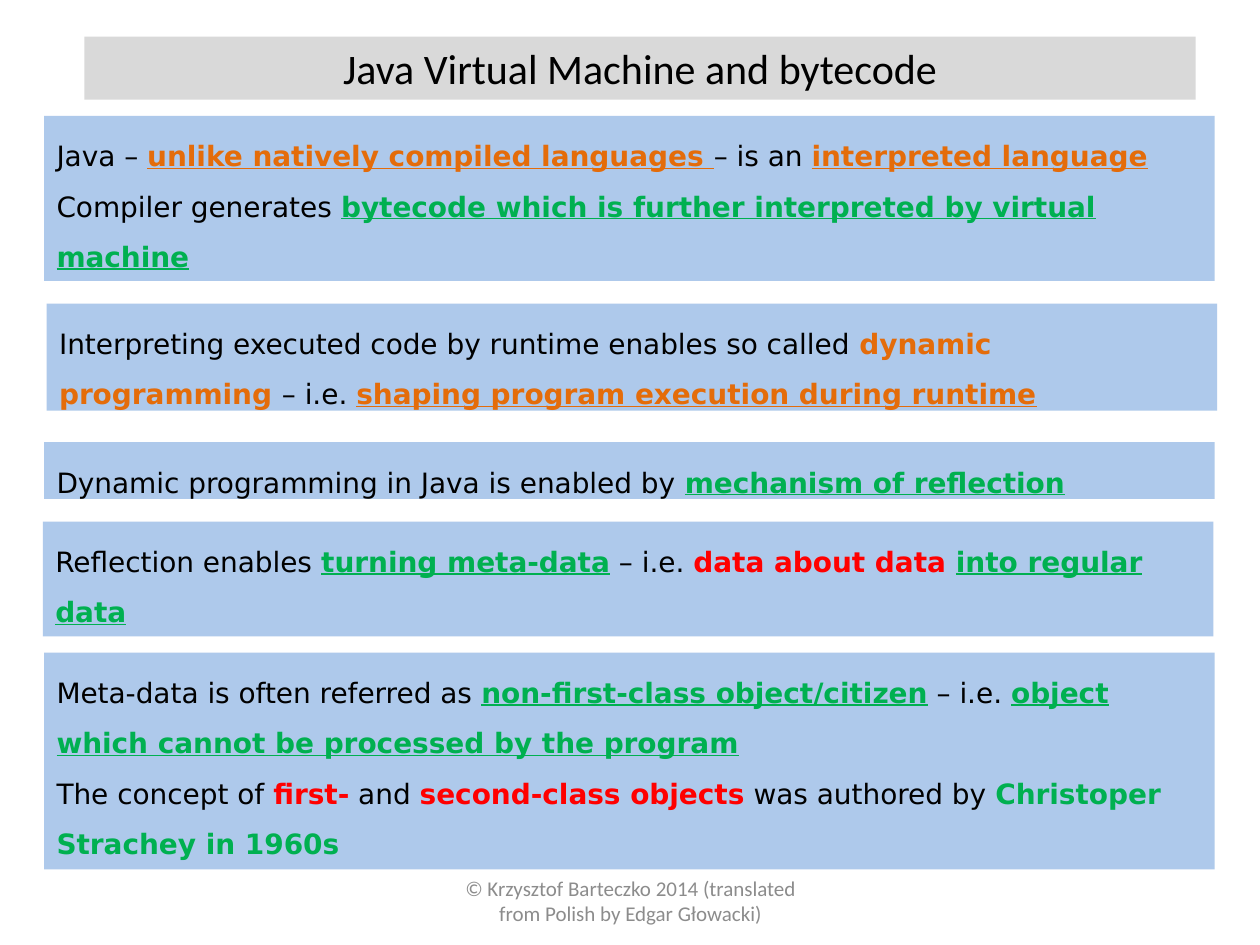
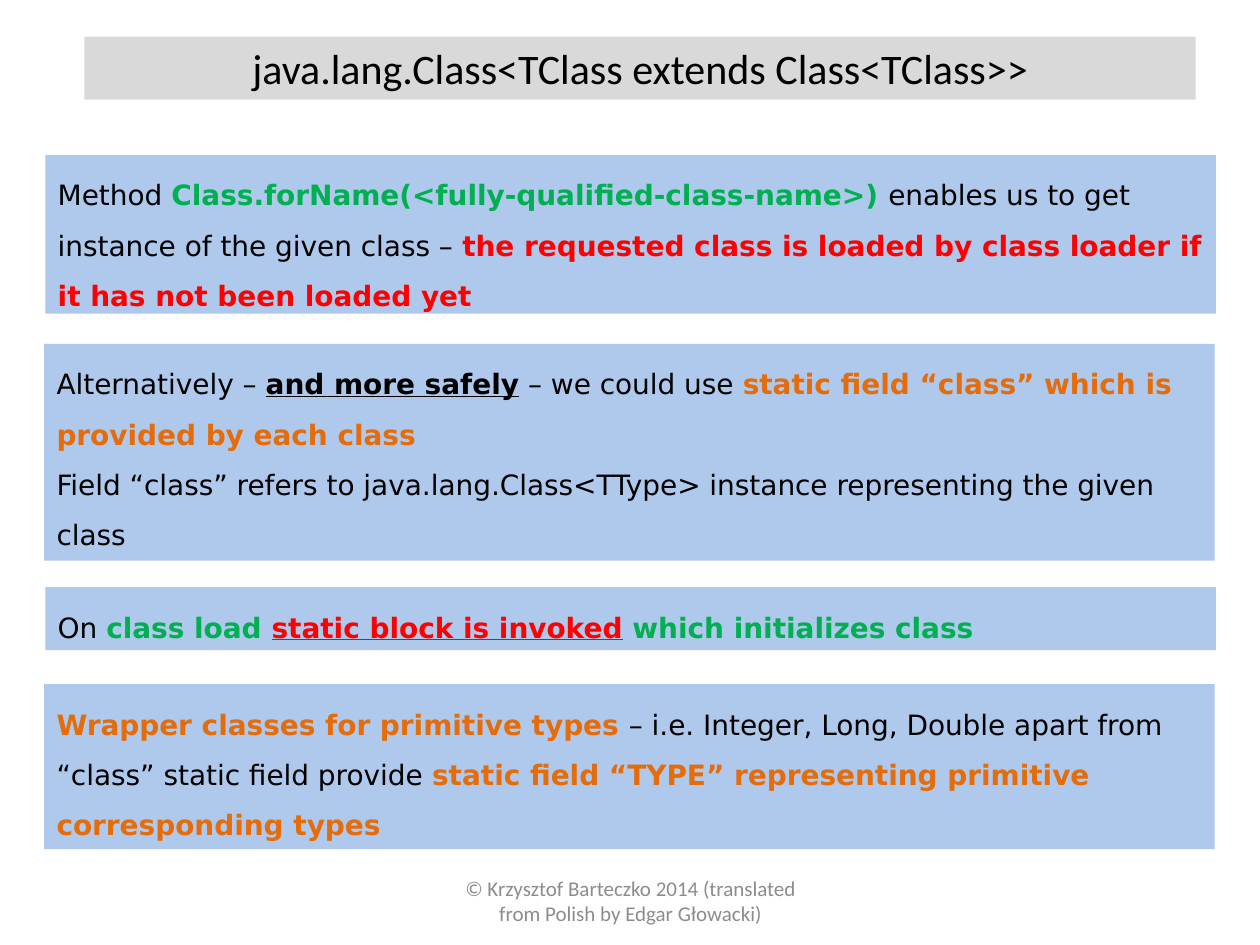
from lxml import etree
from pptx import Presentation
from pptx.dml.color import RGBColor
from pptx.enum.shapes import MSO_SHAPE
from pptx.enum.text import MSO_ANCHOR, MSO_AUTO_SIZE, PP_ALIGN
from pptx.oxml.ns import qn
from pptx.util import Inches, Pt

RECTANGLE = MSO_SHAPE.RECTANGLE
TOP, MIDDLE = MSO_ANCHOR.TOP, MSO_ANCHOR.MIDDLE
LEFT, CENTER = PP_ALIGN.LEFT, PP_ALIGN.CENTER

# Shared colours, fonts and measures
BLACK = RGBColor(0x00, 0x00, 0x00)
ORANGE = RGBColor(0xE4, 0x6C, 0x0A)
GREEN = RGBColor(0x00, 0xB0, 0x50)
RED = RGBColor(0xFF, 0x00, 0x00)
FOOTER_GRAY = RGBColor(0x8C, 0x8C, 0x8C)
TITLE_BAND = RGBColor(0xD9, 0xD9, 0xD9)
PANEL_BLUE = RGBColor(0x8E, 0xB4, 0xE3)
PANEL_OPACITY = "71000"
HEADING_FONT, BODY_FONT = "Calibri", "DejaVu Sans"
PANEL_WIDTH = 9.29
FOOTER = "© Krzysztof Barteczko 2014 (translated from Polish by Edgar Głowacki)"

# Each panel: left, top, height, paragraphs.
# A span is plain text, or (text, colour, style) with b = bold and u = underlined.
SLIDES = [
    ("Java Virtual Machine and bytecode", [
        (0.35, 0.92, 1.31, [
            ["Java – ", ("unlike natively compiled languages ", ORANGE, "bu"),
             "– is an ", ("interpreted language", ORANGE, "bu")],
            ["Compiler generates ",
             ("bytecode which is further interpreted by virtual machine", GREEN, "bu")],
        ]),
        (0.37, 2.41, 0.85, [
            ["Interpreting executed code by runtime enables so called ",
             ("dynamic programming ", ORANGE, "b"), "– i.e. ",
             ("shaping program execution during runtime", ORANGE, "bu")],
        ]),
        (0.35, 3.51, 0.45, [
            ["Dynamic programming in Java is enabled by ",
             ("mechanism of reflection", GREEN, "bu")],
        ]),
        (0.34, 4.14, 0.91, [
            ["Reflection enables ", ("turning meta-data", GREEN, "bu"), " – i.e. ",
             ("data about data ", RED, "b"), ("into regular data", GREEN, "bu")],
        ]),
        (0.35, 5.18, 1.72, [
            ["Meta-data is often referred as ",
             ("non-first-class object/citizen", GREEN, "bu"), " – i.e. ",
             ("object which cannot be processed by the program", GREEN, "bu")],
            ["The concept of ", ("first-", RED, "b"), " and ",
             ("second-class objects", RED, "b"), " was authored by ",
             ("Christoper Strachey in 1960s", GREEN, "b")],
        ]),
    ]),
    ("java.lang.Class<TClass extends Class<TClass>>", [
        (0.36, 1.23, 1.26, [
            ["Method ", ("Class.forName(<fully-qualified-class-name>) ", GREEN, "b"),
             "enables us to get instance of the given class – ",
             ("the requested class is loaded by class loader if it has not been loaded yet",
              RED, "b")],
        ]),
        (0.35, 2.73, 1.72, [
            ["Alternatively – ", ("and more safely", BLACK, "bu"), " – we could use ",
             ("static field “class” which is provided by each class", ORANGE, "b")],
            ["Field “class” refers to java.lang.Class<TType> instance "
             "representing the given class"],
        ]),
        (0.36, 4.66, 0.5, [
            ["On ", ("class load ", GREEN, "b"), ("static block is invoked", RED, "bu"),
             (" which initializes class", GREEN, "b")],
        ]),
        (0.35, 5.43, 1.31, [
            [("Wrapper classes for primitive types ", ORANGE, "b"),
             "– i.e. Integer, Long, Double apart from “class” static field provide ",
             ("static field “TYPE” representing primitive corresponding types",
              ORANGE, "b")],
        ]),
    ]),
]


def write_text(box, paragraphs, font=BODY_FONT, size=16, color=BLACK,
               align=LEFT, anchor=TOP, spacing=1.0):
    """Fill a box with paragraphs made of plain or (text, colour, style) spans."""
    frame = box.text_frame
    frame.word_wrap = True
    frame.auto_size = MSO_AUTO_SIZE.NONE
    frame.vertical_anchor = anchor
    for index, spans in enumerate(paragraphs):
        para = frame.add_paragraph() if index else frame.paragraphs[0]
        para.alignment = align
        para.line_spacing = spacing
        for span in spans:
            text, span_color, style = (span, color, "") if isinstance(span, str) else span
            run = para.add_run()
            run.text = text
            run.font.name = font
            run.font.size = Pt(size)
            run.font.color.rgb = span_color
            run.font.bold = "b" in style
            run.font.underline = "u" in style


deck = Presentation()
deck.slide_width, deck.slide_height = Inches(10), Inches(7.5)
title_only = deck.slide_layouts[5]

for heading, panels in SLIDES:
    page = deck.slides.add_slide(title_only)

    # Footer
    footer = page.shapes.add_textbox(Inches(3.42), Inches(6.95), Inches(3.17), Inches(0.4))
    write_text(footer, [[FOOTER]], font=HEADING_FONT, size=12, color=FOOTER_GRAY,
               align=CENTER, anchor=MIDDLE)

    # Title band
    title = page.shapes.title
    title.left, title.top = Inches(0.67), Inches(0.29)
    title.width, title.height = Inches(8.82), Inches(0.5)
    title.fill.solid()
    title.fill.fore_color.rgb = TITLE_BAND
    write_text(title, [[heading]], font=HEADING_FONT, size=24, align=CENTER)

    # Translucent text panels
    for left, top, height, paragraphs in panels:
        panel = page.shapes.add_shape(RECTANGLE, Inches(left), Inches(top),
                                      Inches(PANEL_WIDTH), Inches(height))
        panel.shadow.inherit = False
        panel.line.fill.background()
        panel.fill.solid()
        panel.fill.fore_color.rgb = PANEL_BLUE
        fill_color = panel.fill._xPr.find(qn("a:solidFill"))[0]
        etree.SubElement(fill_color, qn("a:alpha"), val=PANEL_OPACITY)
        write_text(panel, paragraphs, spacing=1.5)

deck.save("out.pptx")
